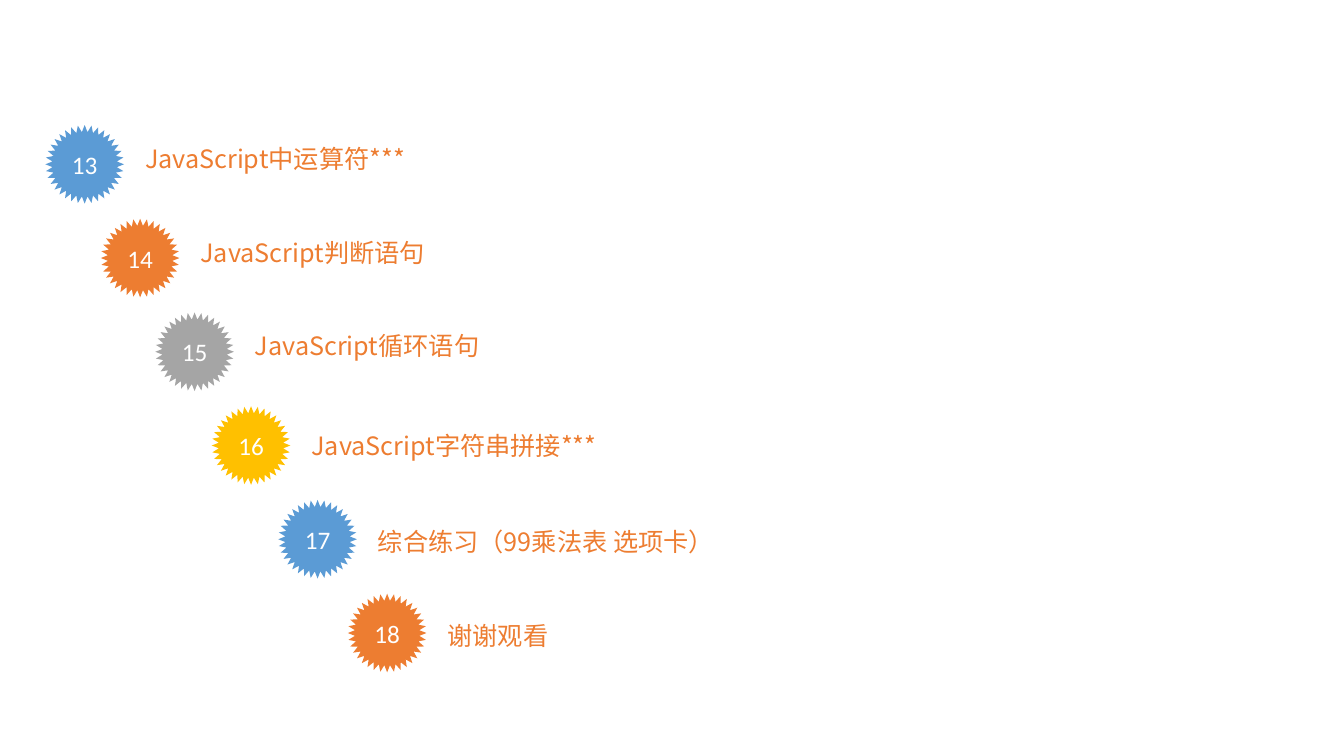
"""Build the agenda slide: numbered star badges stepping down to the right."""
import math

import pptx
import pptx.dml.color
import pptx.enum.text
import pptx.oxml.ns
import pptx.util
from lxml import etree

Inches = pptx.util.Inches

TOPICS = [
    ("13", "JavaScript中运算符***", "5B9BD5", 0.45, 0.13),
    ("14", "JavaScript判断语句", "ED7D31", 1.00, 0.13),
    ("15", "JavaScript循环语句", "A5A5A5", 1.54, 0.13),
    ("16", "JavaScript字符串拼接***", "FFC000", 2.10, 0.19),
    ("17", "综合练习（99乘法表 选项卡）", "5B9BD5", 2.76, 0.21),
    ("18", "谢谢观看", "ED7D31", 3.45, 0.21),
]
TOPIC_COLOR, NUMBER_COLOR = "ED7D31", "FFFFFF"
TOPIC_FONT, NUMBER_FONT = "Noto Sans CJK SC", "Calibri"
FIRST_TOP, ROW_STEP = 1.24, 0.93
OUTER_RADIUS, INNER_RADIUS, SPIKES = 0.39, 0.32, 36
TOPIC_OFFSET, TOPIC_WIDTH, TOPIC_HEIGHT = 0.89, 7.44, 0.52


def rgb(value):
    return pptx.dml.color.RGBColor.from_string(value)


def write(frame, text, font, color):
    paragraph = frame.paragraphs[0]
    run = paragraph.add_run()
    run.text = text
    run.font.size = pptx.util.Pt(18)
    run.font.name = font
    run.font.color.rgb = rgb(color)
    east_asian = etree.SubElement(run.font._element, pptx.oxml.ns.qn("a:ea"))
    east_asian.set("typeface", font)
    return paragraph


def add_topic(row, text, left, top):
    topic = row.shapes.add_textbox(
        Inches(left), Inches(top), Inches(TOPIC_WIDTH), Inches(TOPIC_HEIGHT))
    topic.text_frame.word_wrap = True
    write(topic.text_frame, text, TOPIC_FONT, TOPIC_COLOR)


def add_badge(row, number, color, left, top):
    points = []
    for step in range(2 * SPIKES):
        radius = INNER_RADIUS if step % 2 else OUTER_RADIUS
        angle = math.pi * step / SPIKES
        points.append((Inches(left + OUTER_RADIUS + radius * math.sin(angle)),
                       Inches(top + OUTER_RADIUS - radius * math.cos(angle))))
    builder = row.shapes.build_freeform(*points[0])
    builder.add_line_segments(points[1:], close=True)
    badge = builder.convert_to_shape()
    badge.shadow.inherit = False
    badge.fill.solid()
    badge.fill.fore_color.rgb = rgb(color)
    badge.line.fill.background()
    badge.text_frame.vertical_anchor = pptx.enum.text.MSO_ANCHOR.MIDDLE
    paragraph = write(badge.text_frame, number, NUMBER_FONT, NUMBER_COLOR)
    paragraph.alignment = pptx.enum.text.PP_ALIGN.CENTER


def main():
    deck = pptx.Presentation()
    deck.slide_width, deck.slide_height = Inches(13.33), Inches(7.5)
    slide = deck.slides.add_slide(deck.slide_layouts[6])
    for index, (number, text, color, left, drop) in enumerate(TOPICS):
        top = FIRST_TOP + index * ROW_STEP
        row = slide.shapes.add_group_shape()
        add_topic(row, text, left + TOPIC_OFFSET, top + drop)
        add_badge(row, number, color, left, top)
    deck.save("out.pptx")


if __name__ == "__main__":
    main()
